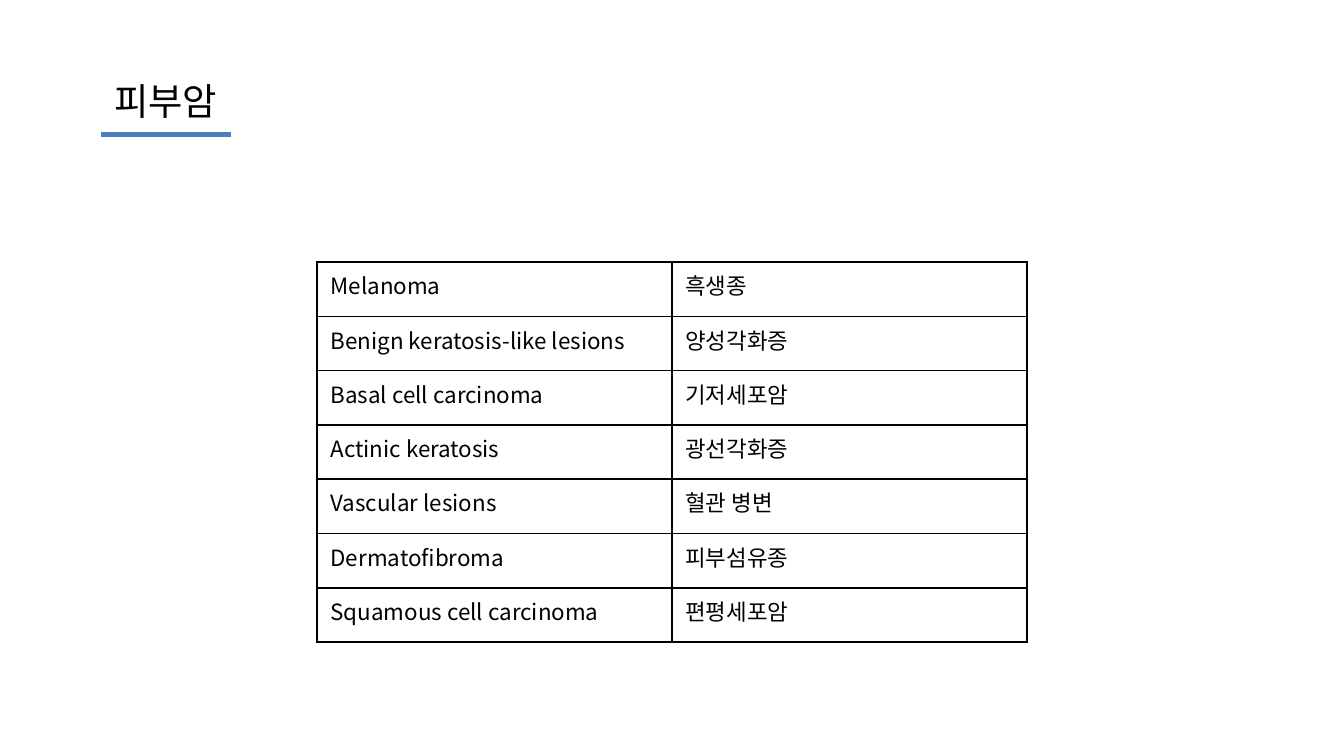
from lxml import etree
from pptx import Presentation
from pptx import util as u
from pptx.dml.color import RGBColor
from pptx.enum import shapes, text
from pptx.oxml import ns

FONT = "Noto Sans CJK KR"
COLORS = {"ink": "000000", "accent": "4B7EBC"}

LESIONS = [
    ("Melanoma", "흑생종"),
    ("Benign keratosis-like lesions", "양성각화증"),
    ("Basal cell carcinoma", "기저세포암"),
    ("Actinic keratosis", "광선각화증"),
    ("Vascular lesions", "혈관 병변"),
    ("Dermatofibroma", "피부섬유종"),
    ("Squamous cell carcinoma", "편평세포암"),
]


def color(name):
    return RGBColor.from_string(COLORS[name])


def write(frame, wording, size):
    paragraph = frame.paragraphs[0]
    paragraph.text = wording
    font = paragraph.font
    font.size = u.Pt(size)
    font.name = FONT
    font.color.rgb = color("ink")
    # Hangul takes the East Asian typeface
    properties = paragraph._p.pPr.find(ns.qn("a:defRPr"))
    etree.SubElement(properties, ns.qn("a:ea"), typeface=FONT)


def add_title(slide, wording):
    title = slide.shapes.add_textbox(
        u.Inches(0.75), u.Inches(0.53), u.Inches(0.98), u.Inches(0.43))
    title.text_frame.word_wrap = False
    title.text_frame.auto_size = text.MSO_AUTO_SIZE.SHAPE_TO_FIT_TEXT
    write(title.text_frame, wording, 20)


def add_underline(slide):
    underline = slide.shapes.add_connector(
        shapes.MSO_CONNECTOR.STRAIGHT,
        u.Inches(0.75), u.Inches(1), u.Inches(1.72), u.Inches(1))
    underline.line.color.rgb = color("accent")
    underline.line.width = u.Pt(3)
    etree.SubElement(underline._element.spPr, ns.qn("a:effectLst"))


def add_borders(cell):
    properties = cell._tc.get_or_add_tcPr()
    # Borders come before the fill in the cell properties
    for position, side in enumerate(("lnL", "lnR", "lnT", "lnB")):
        border = etree.Element(ns.qn(f"a:{side}"), w=str(u.Pt(1)))
        fill = etree.SubElement(border, ns.qn("a:solidFill"))
        etree.SubElement(fill, ns.qn("a:srgbClr"), val=COLORS["ink"])
        properties.insert(position, border)


def add_lesion_table(slide, rows):
    table = slide.shapes.add_table(
        len(rows), len(rows[0]), u.Inches(2.36), u.Inches(1.95),
        u.Inches(5.28), u.Inches(2.83)).table
    table.first_row = False
    table.horz_banding = False
    for row, names in enumerate(rows):
        for column, name in enumerate(names):
            cell = table.cell(row, column)
            cell.fill.background()
            add_borders(cell)
            write(cell.text_frame, name, 12)


def main():
    deck = Presentation()
    # Widescreen, 16 to 9
    deck.slide_width = u.Inches(10)
    deck.slide_height = deck.slide_width * 9 // 16
    slide = deck.slides.add_slide(deck.slide_layouts[6])

    # Heading
    add_title(slide, "피부암")
    add_underline(slide)

    # English and Korean names
    add_lesion_table(slide, LESIONS)

    deck.save("out.pptx")


if __name__ == "__main__":
    main()
